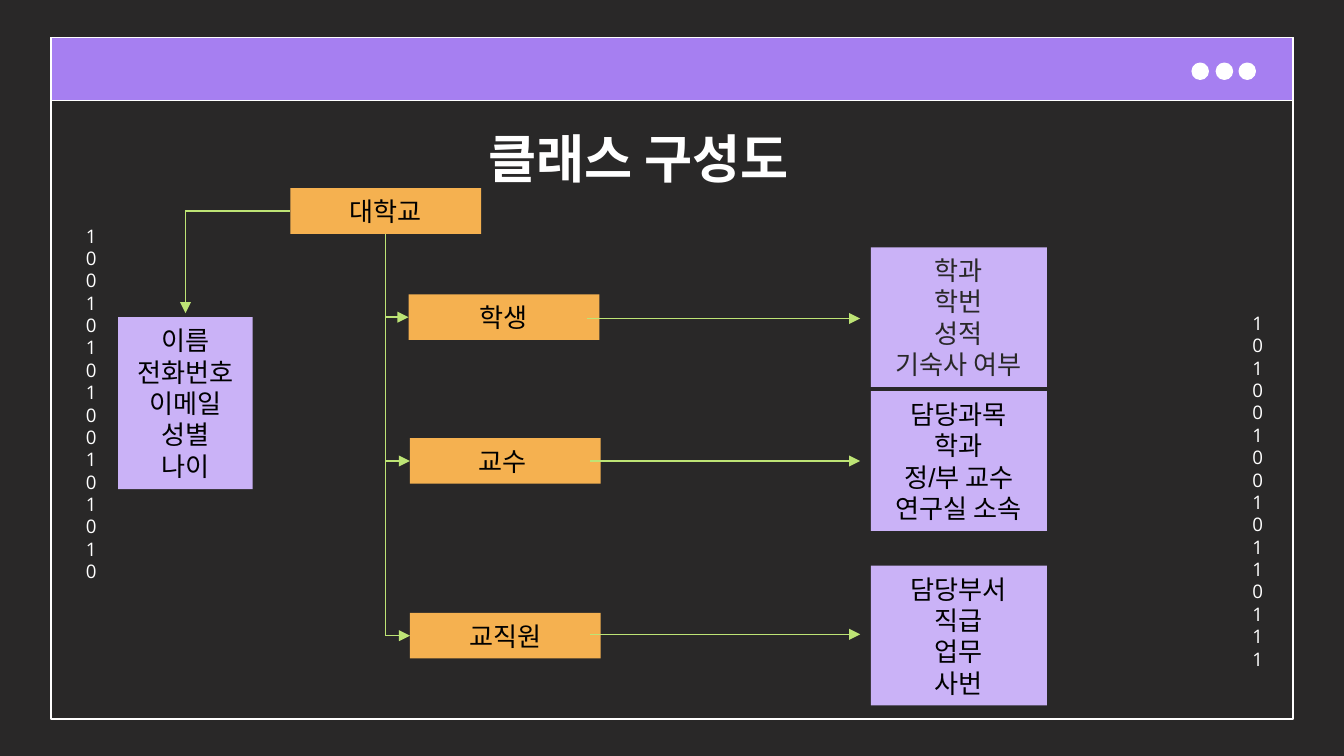
import pptx
import pptx.util
import pptx.dml.color
import pptx.enum.shapes
import pptx.enum.text
import pptx.oxml.ns
from lxml import etree

Inches = pptx.util.Inches
Pt = pptx.util.Pt
RGBColor = pptx.dml.color.RGBColor
SHAPE = pptx.enum.shapes.MSO_SHAPE
ANCHOR = pptx.enum.text.MSO_ANCHOR
CENTER = pptx.enum.text.PP_ALIGN.CENTER

DARK = RGBColor(0x29, 0x28, 0x28)
WHITE = RGBColor(0xFF, 0xFF, 0xFF)
BLACK = RGBColor(0x00, 0x00, 0x00)
PURPLE = RGBColor(0xA6, 0x7F, 0xF1)
LILAC = RGBColor(0xCA, 0xB2, 0xF7)
ORANGE = RGBColor(0xF5, 0xB1, 0x50)
GREEN = RGBColor(0xBD, 0xE4, 0x75)

SLIDE_WIDTH = 10
TRUNK_X = 2.87
INFO_X = 1.38
CLASS_WIDTH, CLASS_HEIGHT = 1.42, 0.34
FIELDS_LEFT, FIELDS_WIDTH, FIELDS_HEIGHT = 6.48, 1.31, 1.04

# name, left, top, arrow start, arrow y, fields, fields top, fields colour
CLASSES = [
    ("학생", 3.04, 2.19, 4.37, 2.37,
     ["학과", "학번", "성적", "기숙사 여부"], 1.84, DARK),
    ("교수 ", 3.05, 3.26, 4.39, 3.43,
     ["담당과목", "학과", "정/부 교수", "연구실 소속"], 2.91, BLACK),
    ("교직원", 3.05, 4.56, 4.39, 4.72,
     ["담당부서", "직급", "업무", "사번"], 4.21, BLACK),
]


def format_text(frame, size, font, color, bold=False, spacing=None):
    for paragraph in frame.paragraphs:
        paragraph.alignment = CENTER
        paragraph.line_spacing = spacing
        for run in paragraph.runs:
            run.font.size = Pt(size)
            run.font.name = font
            run.font.color.rgb = color
            run.font.bold = bold


def add_plain_shape(slide, kind, left, top, width, height, fill=None, line=None):
    shape = slide.shapes.add_shape(
        kind, Inches(left), Inches(top), Inches(width), Inches(height))
    shape.shadow.inherit = False
    if fill is None:
        shape.fill.background()
    else:
        shape.fill.solid()
        shape.fill.fore_color.rgb = fill
    if line is None:
        shape.line.fill.background()
    else:
        shape.line.color.rgb = line
        shape.line.width = Pt(0.75)
    return shape


def add_label_box(slide, left, top, width, height, lines, fill, color=BLACK):
    box = add_plain_shape(slide, SHAPE.RECTANGLE, left, top, width, height, fill)
    frame = box.text_frame
    frame.text = "\n".join(lines)
    frame.word_wrap = True
    frame.vertical_anchor = ANCHOR.MIDDLE
    frame.auto_size = pptx.enum.text.MSO_AUTO_SIZE.SHAPE_TO_FIT_TEXT
    format_text(frame, 14, "Arial", color)
    return box


def add_text(slide, left, top, width, height, text, size, font, **style):
    box = slide.shapes.add_textbox(
        Inches(left), Inches(top), Inches(width), Inches(height))
    frame = box.text_frame
    frame.word_wrap = True
    frame.margin_left = frame.margin_right = Inches(0.1)
    frame.margin_top = frame.margin_bottom = Inches(0.1)
    frame.text = text
    format_text(frame, size, font, WHITE, **style)


def add_line(slide, start, end, arrow=False):
    line = slide.shapes.add_connector(
        pptx.enum.shapes.MSO_CONNECTOR.STRAIGHT,
        Inches(start[0]), Inches(start[1]), Inches(end[0]), Inches(end[1]))
    line.line.color.rgb = GREEN
    line.line.width = Pt(0.75)
    qn = pptx.oxml.ns.qn
    if arrow:
        etree.SubElement(line.line._get_or_add_ln(), qn("a:tailEnd"), type="triangle")
    etree.SubElement(line._element.spPr, qn("a:effectLst"))
    return line


def add_window(slide):
    add_plain_shape(slide, SHAPE.RECTANGLE, 0.38, 0.28, 9.24, 5.07, line=WHITE)
    add_plain_shape(slide, SHAPE.RECTANGLE, 0.38, 0.28, 9.24, 0.47, PURPLE, WHITE)
    for left in (8.87, 9.05, 9.22):
        add_plain_shape(slide, SHAPE.OVAL, left, 0.47, 0.12, 0.12, WHITE, WHITE)
    for left, top, digits in [(9.22, 2.22, "1010010010110111"),
                              (0.54, 1.57, "1001010100101010")]:
        add_text(slide, left, top, 0.24, 2.8, digits, 10, "Open Sans", spacing=Pt(12))


def add_university(slide):
    university = add_label_box(slide, 2.16, 1.4, CLASS_WIDTH, CLASS_HEIGHT,
                               ["대학교"], ORANGE)
    add_label_box(slide, 0.88, 2.36, 1, 1.28,
                  ["이름", "전화번호", "이메일", "성별", "나이"], LILAC)
    trunk = add_line(slide, (TRUNK_X, 1.74), (TRUNK_X, 4.73))
    trunk.begin_connect(university, 2)
    to_info = add_line(slide, (INFO_X, 1.57), (2.16, 1.57))
    to_info.end_connect(university, 1)
    add_line(slide, (INFO_X, 1.57), (INFO_X, 2.33), arrow=True)


def add_class(slide, name, left, top, arrow_start, arrow_y, fields, fields_top, color):
    """Add a class box, its branch from the trunk, and its fields."""
    add_label_box(slide, FIELDS_LEFT, fields_top, FIELDS_WIDTH, FIELDS_HEIGHT,
                  fields, LILAC, color)
    class_box = add_label_box(slide, left, top, CLASS_WIDTH, CLASS_HEIGHT,
                              [name], ORANGE)
    middle = top + CLASS_HEIGHT / 2
    branch = add_line(slide, (TRUNK_X, middle), (left, middle), arrow=True)
    branch.end_connect(class_box, 1)
    add_line(slide, (arrow_start, arrow_y), (6.4, arrow_y), arrow=True)


def main():
    presentation = pptx.Presentation()
    presentation.slide_width = Inches(SLIDE_WIDTH)
    presentation.slide_height = Inches(SLIDE_WIDTH * 9 / 16)
    slide = presentation.slides.add_slide(presentation.slide_layouts[6])
    slide.background.fill.solid()
    slide.background.fill.fore_color.rgb = DARK
    add_window(slide)
    add_text(slide, 0.58, 0.84, 8.43, 0.46, "클래스 구성도 ", 28, "Lato", bold=True)
    add_university(slide)
    for class_row in CLASSES:
        add_class(slide, *class_row)
    presentation.save("out.pptx")


if __name__ == "__main__":
    main()
